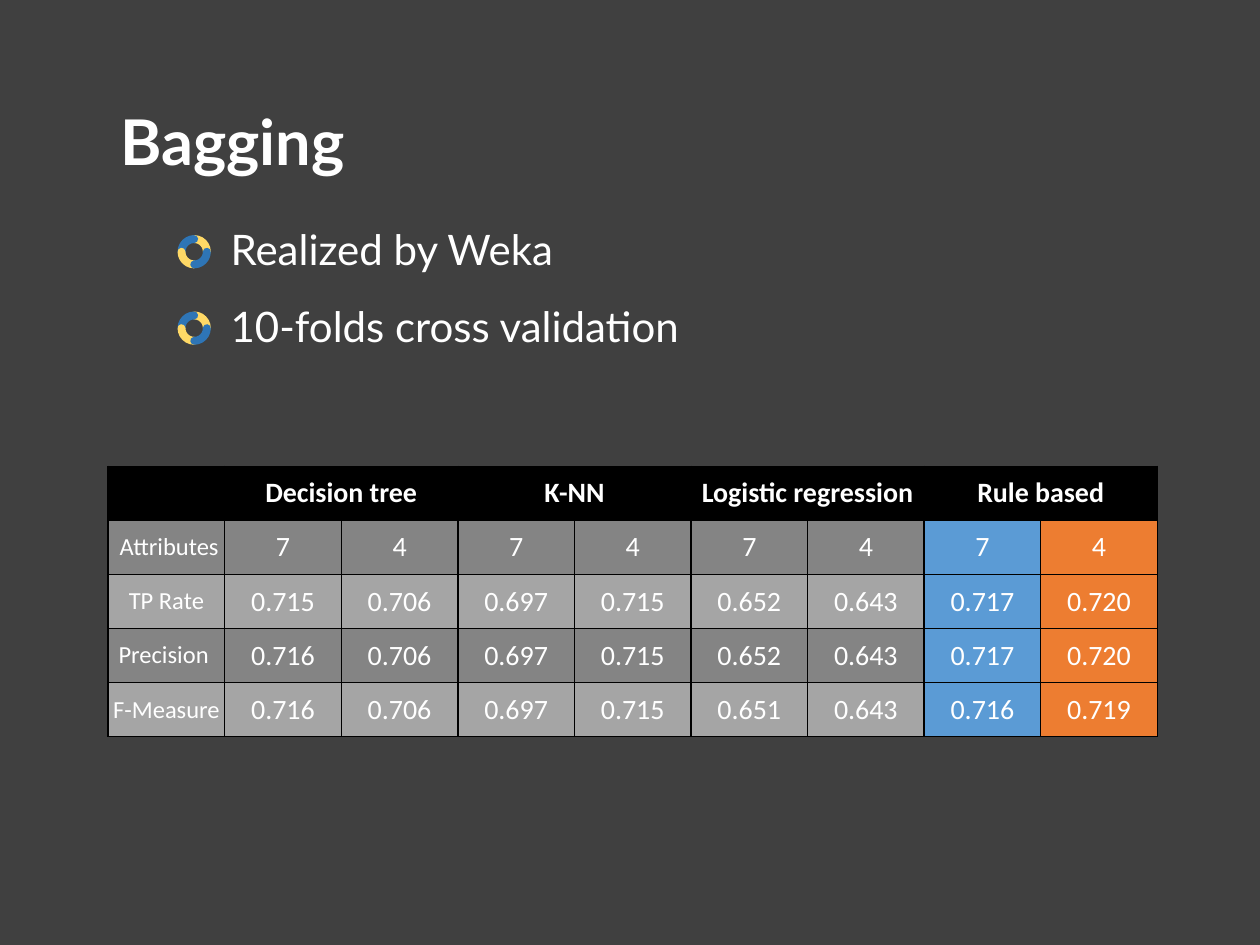
from pptx import Presentation
from pptx.dml.color import RGBColor
from pptx.enum.shapes import MSO_SHAPE
from pptx.enum.text import MSO_ANCHOR, PP_ALIGN
from pptx.oxml import parse_xml
from pptx.oxml.ns import nsdecls, qn
from pptx.util import Cm, Pt

HUES = {
    "back": "404040", "text": "FFFFFF", "head": "000000",
    "dark": "848484", "light": "A5A5A5", "seven": "5B9BD5",
    "four": "ED7D31", "gold": "FFD966", "blue": "2E75B6",
}
HEADS = ["Decision tree", "K-NN", "Logistic regression", "Rule based"]
ROWS = [
    [" Attributes"] + ["7", "4"] * 4,
    ["TP Rate", "0.715", "0.706", "0.697", "0.715", "0.652", "0.643", "0.717", "0.720"],
    ["Precision ", "0.716", "0.706", "0.697", "0.715", "0.652", "0.643", "0.717", "0.720"],
    ["F-Measure", "0.716", "0.706", "0.697", "0.715", "0.651", "0.643", "0.716", "0.719"],
]
POINTS = ["Realized by Weka", "10-folds cross validation"]


def hue(name):
    return RGBColor.from_string(HUES[name])


def apply(item, values):
    for name, value in values.items():
        setattr(item, name, value)


class Deck:
    """Holds the style and the current slide, and draws each kind of element."""

    def __init__(self):
        self.show = Presentation()
        apply(self.show, {"slide_width": Cm(25.4), "slide_height": Cm(19.05)})
        self.slide = self.show.slides.add_slide(self.show.slide_layouts[6])
        fill = self.slide.background.fill
        fill.solid()
        fill.fore_color.rgb = hue("back")

    def words(self, frame, text, size, face="Lato", bold=False, align=PP_ALIGN.LEFT):
        para = frame.paragraphs[0]
        para.alignment = align
        run = para.add_run()
        run.text = text
        apply(run.font, {"name": face, "size": Pt(size), "bold": bold})
        run.font.color.rgb = hue("text")

    def label(self, text, left, top, width, height, size, bold=False):
        box = self.slide.shapes.add_textbox(Cm(left), Cm(top), Cm(width), Cm(height))
        apply(box.text_frame, {"word_wrap": True, "vertical_anchor": MSO_ANCHOR.MIDDLE})
        self.words(box.text_frame, text, size, bold=bold)

    def ring(self, left, top, side):
        group = self.slide.shapes.add_group_shape()
        for turn, tint in ((90, "gold"), (0, "blue"), (270, "gold"), (180, "blue")):
            arc = group.shapes.add_shape(
                MSO_SHAPE.ARC, Cm(left), Cm(top), Cm(side), Cm(side))
            arc.adjustments[0], arc.adjustments[1] = 108, 162
            arc.rotation = turn
            arc.shadow.inherit = False
            arc.fill.background()
            arc.line.color.rgb = hue(tint)
            arc.line.width = Pt(4.5)
            arc.element.spPr.find(qn("a:ln")).set("cap", "rnd")

    def cell(self, cell, text, tint, size=16, bold=False):
        apply(cell, dict.fromkeys(
            ("margin_left", "margin_right", "margin_top", "margin_bottom"), 0))
        cell.vertical_anchor = MSO_ANCHOR.MIDDLE
        props = cell._tc.get_or_add_tcPr()
        for side in "LRTB":
            props.append(parse_xml(
                f'<a:ln{side} {nsdecls("a")} w="12700"><a:solidFill>'
                f'<a:srgbClr val="{HUES["head"]}"/></a:solidFill></a:ln{side}>'))
        cell.fill.solid()
        cell.fill.fore_color.rgb = hue(tint)
        if text:
            self.words(cell.text_frame, text, size, "Calibri", bold, PP_ALIGN.CENTER)

    def table(self, left, top, wide, high):
        count = len(ROWS[0])
        grid = self.slide.shapes.add_table(
            len(ROWS) + 1, count, Cm(left), Cm(top),
            Cm(wide * count), Cm(high * (len(ROWS) + 1))).table
        for col in grid.columns:
            col.width = Cm(wide)
        for row in grid.rows:
            row.height = Cm(high)
        titles = [""] + [part for head in HEADS for part in (head, "")]
        for x, text in enumerate(titles):
            self.cell(grid.cell(0, x), text, "head", bold=True)
        for x in range(1, count, 2):
            grid.cell(0, x).merge(grid.cell(0, x + 1))
        for y, row in enumerate(ROWS, 1):
            band = "dark" if y % 2 else "light"
            tints = [band] * (count - 2) + ["seven", "four"]
            for x, (text, tint) in enumerate(zip(row, tints)):
                self.cell(grid.cell(y, x), text, tint, 16 if x else 14)


def main():
    deck = Deck()
    deck.label("Bagging", 2.18, 1.93, 15.75, 1.8, 36, True)
    for step, text in enumerate(POINTS):
        drop = step * 1.54
        deck.ring(3.66, 4.82 + drop, 0.51)
        deck.label(text, 4.4, 4.38 + drop, 13.8, 1.28, 24)
    deck.table(2.18, 9.4, 2.35, 1.09)
    deck.show.save("out.pptx")


if __name__ == "__main__":
    main()
